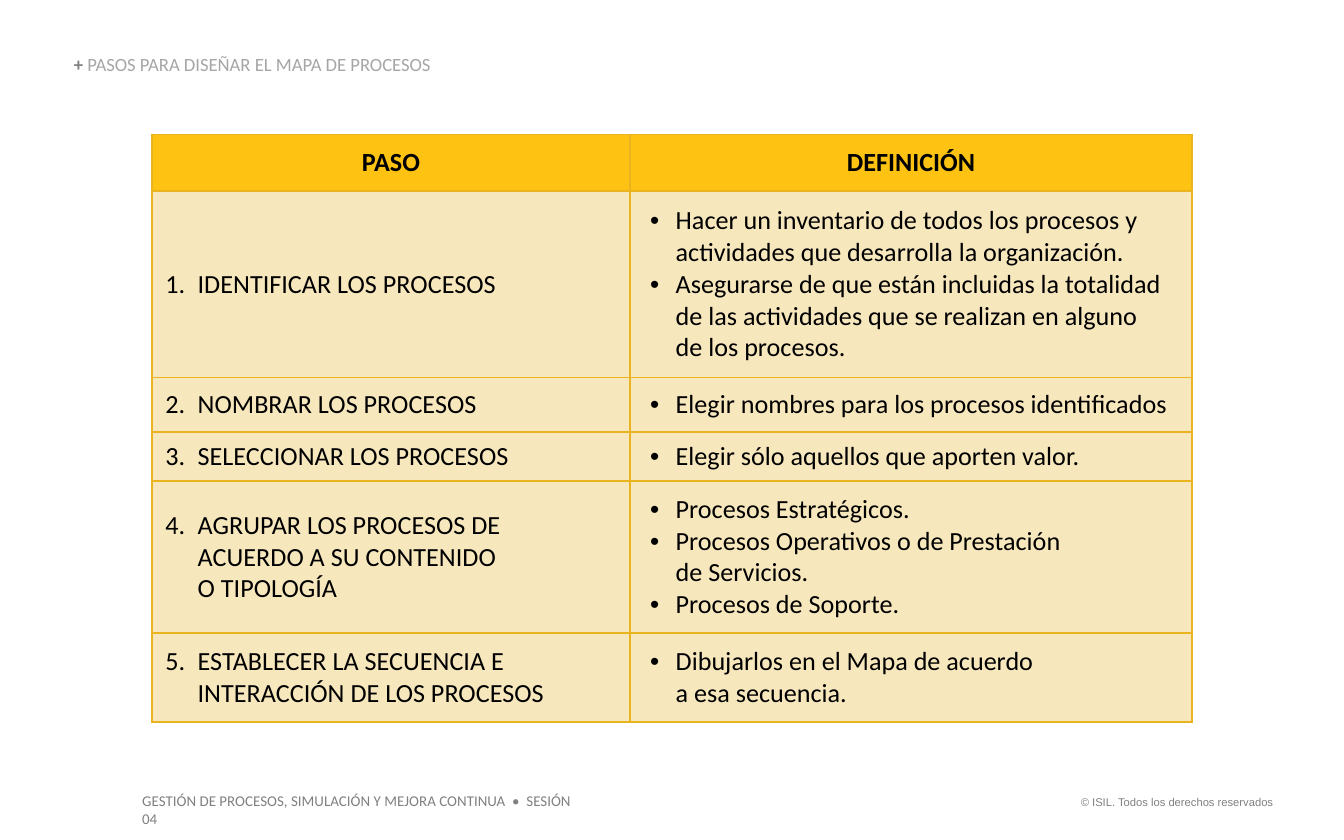
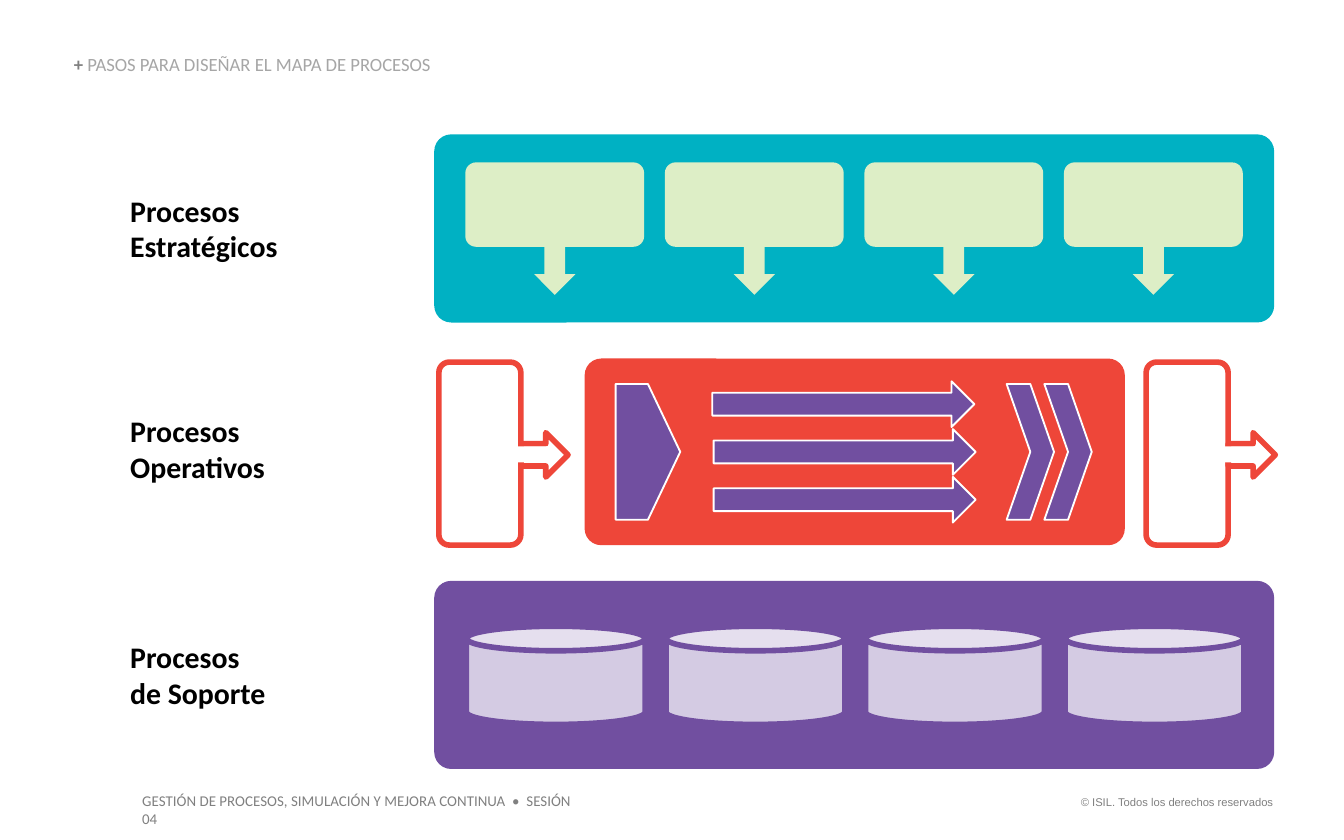
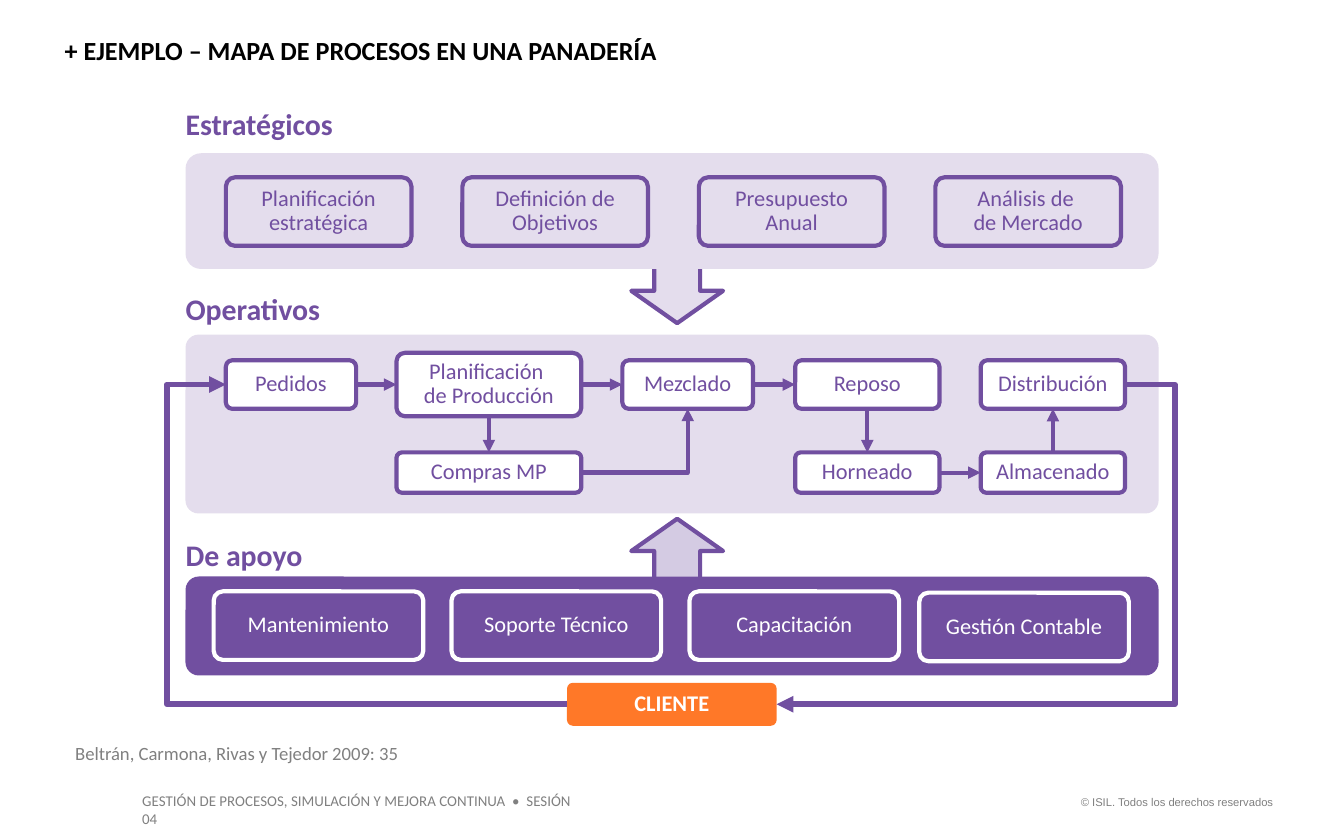
import pptx
import pptx.dml.color
import pptx.enum.shapes
import pptx.enum.text
import pptx.oxml
import pptx.oxml.ns
import pptx.util
from lxml import etree

Pt = pptx.util.Pt
SHAPE = pptx.enum.shapes.MSO_SHAPE
CONNECTOR = pptx.enum.shapes.MSO_CONNECTOR
ALIGN = pptx.enum.text.PP_ALIGN
ANCHOR = pptx.enum.text.MSO_ANCHOR
AUTO_SIZE = pptx.enum.text.MSO_AUTO_SIZE

BLACK, WHITE = "000000", "FFFFFF"
GRAY, LIGHT_GRAY = "808080", "A6A6A6"
PURPLE, LILAC, PALE_LILAC = "714FA0", "D4CBE3", "E4DDED"
TEAL, MINT, RED, ORANGE = "00B1C3", "DDEEC6", "EE4639", "FF7828"
GOLD, CREAM, BORDER = "FDC212", "F7E7BD", "E9B41F"

FOOTER = "GESTIÓN DE PROCESOS, SIMULACIÓN Y MEJORA CONTINUA  •  SESIÓN 04"
COPYRIGHT = "© ISIL. Todos los derechos reservados"
STEPS_TITLE = [("+ ", GRAY, True),
               ("PASOS PARA DISEÑAR EL MAPA DE PROCESOS", LIGHT_GRAY, False)]
STEPS_TITLE_BOX = (39.6, 29.5, 201, 10.8)
BAKERY_TITLE = [("+ EJEMPLO – MAPA DE PROCESOS EN UNA PANADERÍA", BLACK, True)]
BAKERY_TITLE_BOX = (34.6, 20.2, 610, 15.1)

HEADERS = ["PASO", "DEFINICIÓN"]
STEPS = [
    ("IDENTIFICAR LOS PROCESOS", [
        "Hacer un inventario de todos los procesos y actividades que desarrolla la organización.",
        "Asegurarse de que están incluidas la totalidad \nde las actividades que se realizan "
        "en alguno \nde los procesos."]),
    ("NOMBRAR LOS PROCESOS", ["Elegir nombres para los procesos identificados"]),
    ("SELECCIONAR LOS PROCESOS", ["Elegir sólo aquellos que aporten valor."]),
    ("AGRUPAR LOS PROCESOS DE \nACUERDO A SU CONTENIDO \nO TIPOLOGÍA", [
        "Procesos Estratégicos.",
        "Procesos Operativos o de Prestación \nde Servicios.",
        "Procesos de Soporte."]),
    ("ESTABLECER LA SECUENCIA E INTERACCIÓN DE LOS PROCESOS", [
        "Dibujarlos en el Mapa de acuerdo \na esa secuencia."]),
]
COLUMN_WIDTHS = [256.1, 301.2]
ROW_HEIGHTS = [30.4, 99.9, 29.1, 26.4, 81.4, 47.7]

LEVELS = [("Procesos Estratégicos", 103), ("Procesos Operativos", 221),
          ("Procesos \nde Soporte", 342)]

GROUP_LABELS = [("Estratégicos", 56.9), ("Operativos", 155.5), ("De apoyo", 287.3)]
GROUP_BANDS = [(82.1, 62, 0.134, PALE_LILAC), (179.3, 95.8, 0.073, PALE_LILAC),
               (308.9, 53, 0.134, PURPLE)]
STRATEGIC = ["Planificación estratégica", "Definición de Objetivos",
             "Presupuesto\nAnual", "Análisis de \nde Mercado"]
SUPPORT = [("Mantenimiento", 114.5, 316.8), ("Soporte Técnico", 241.9, 316.8),
           ("Capacitación", 369.4, 316.8), ("Gestión Contable", 492.5, 317.5)]
TOP_ROW, BOTTOM_ROW = 206, 253.2
OPERATIONS = {
    "Pedidos": (121, TOP_ROW, 69.8, 26),
    "Planificación \nde Producción": (212.4, TOP_ROW, 99, 34),
    "Compras MP": (212.4, BOTTOM_ROW, 99, 21.6),
    "Mezclado": (333.4, TOP_ROW, 70, 26),
    "Reposo": (426, TOP_ROW, 77.3, 26),
    "Horneado": (426, BOTTOM_ROW, 77.3, 21.6),
    "Distribución": (525.4, TOP_ROW, 77.3, 26),
    "Almacenado": (525.4, BOTTOM_ROW, 77.3, 21.6),
}
TOP, LEFT, BOTTOM, RIGHT = range(4)
FLOWS = [
    ("Pedidos", RIGHT, "Planificación \nde Producción", LEFT),
    ("Planificación \nde Producción", RIGHT, "Mezclado", LEFT),
    ("Planificación \nde Producción", BOTTOM, "Compras MP", TOP),
    ("Mezclado", RIGHT, "Reposo", LEFT),
    ("Reposo", BOTTOM, "Horneado", TOP),
    ("Horneado", RIGHT, "Almacenado", LEFT),
    ("Almacenado", TOP, "Distribución", BOTTOM),
]
CITATION = "Beltrán, Carmona, Rivas y Tejedor 2009: 35"


def rgb(color):
    return pptx.dml.color.RGBColor.from_string(color)


def sub(parent, tag, **attrs):
    e = etree.SubElement(parent, pptx.oxml.ns.qn(tag))
    for name, value in attrs.items():
        e.set(name, str(value))
    return e


def style(p, size, color, bold=False, font="Calibri"):
    for r in p.runs:
        r.font.name, r.font.size, r.font.bold = font, Pt(size), bold
        r.font.color.rgb = rgb(color)


def clear_margins(tf):
    tf.margin_left = tf.margin_top = tf.margin_right = tf.margin_bottom = 0


def add_text(s, text, box, size, color, bold=False, font="Calibri",
             align=ALIGN.LEFT, inset=False):
    tf = s.shapes.add_textbox(*map(Pt, box)).text_frame
    tf.word_wrap = True
    if not inset:
        clear_margins(tf)
    p = tf.paragraphs[0]
    p.text, p.alignment = text, align
    style(p, size, color, bold, font)


def add_box(s, kind, box, fill, line=None, width=1, adj=None,
            text=None, color=PURPLE, bold=False):
    sp = s.shapes.add_shape(kind, *map(Pt, box))
    sp.shadow.inherit = False
    sp.fill.solid()
    sp.fill.fore_color.rgb = rgb(fill)
    if line:
        sp.line.color.rgb = rgb(line)
        sp.line.width = Pt(width)
    else:
        sp.line.fill.background()
    if adj is not None:
        sp.adjustments[0] = adj
    if text:
        tf = sp.text_frame
        tf.word_wrap, tf.vertical_anchor = True, ANCHOR.MIDDLE
        p = tf.paragraphs[0]
        p.text, p.alignment, p.line_spacing = text, ALIGN.CENTER, 0.9
        style(p, 12, color, bold)
    return sp


def add_flow(s, start, start_site, end, end_site, width=2.25, bend=None, turn_x=None):
    kind = CONNECTOR.ELBOW if bend else CONNECTOR.STRAIGHT
    c = s.shapes.add_connector(kind, 0, 0, 0, 0)
    c.begin_connect(start, start_site)
    c.end_connect(end, end_site)
    c.line.color.rgb = rgb(PURPLE)
    c.line.width = Pt(width)
    spPr = c._element.spPr
    sub(c.line._get_or_add_ln(), "a:tailEnd", type="triangle")
    sub(spPr, "a:effectLst")
    if bend:
        geom = spPr.find(pptx.oxml.ns.qn("a:prstGeom"))
        geom.set("prst", bend)
        if turn_x is not None:
            ratio = (Pt(turn_x) - c.begin_x) / (c.end_x - c.begin_x)
            guides = geom.find(pptx.oxml.ns.qn("a:avLst"))
            sub(guides, "a:gd", name="adj1", fmla=f"val {round(ratio * 100000)}")


def add_slide(prs, title, box, size):
    s = prs.slides.add_slide(prs.slide_layouts[5])
    sp = s.shapes.title
    sp.left, sp.top, sp.width, sp.height = map(Pt, box)
    tf = sp.text_frame
    clear_margins(tf)
    tf.word_wrap, tf.auto_size = True, AUTO_SIZE.NONE
    tf.vertical_anchor = ANCHOR.BOTTOM
    p = tf.paragraphs[0]
    p.alignment, p.line_spacing, p.space_before = ALIGN.LEFT, 0.9, Pt(0)
    for text, color, bold in title:
        r = p.add_run()
        r.text = text
        r.font.name, r.font.size, r.font.bold = "Calibri", Pt(size), bold
        r.font.color.rgb = rgb(color)
    add_text(s, COPYRIGHT, (567.4, 422.6, 121.7, 14.4), 6, GRAY,
             font="Arial", align=ALIGN.RIGHT, inset=True)
    add_text(s, FOOTER, (69.1, 420.5, 254.2, 17.3), 8, GRAY, inset=True)
    return s


def set_bullet(p, number=None):
    pPr = p._p.get_or_add_pPr()
    pPr.set("marL", str(Pt(17.3)))
    pPr.set("indent", str(-Pt(17.3 if number else 13.7)))
    sub(sub(pPr, "a:buClr"), "a:srgbClr", val=BLACK)
    if number:
        sub(pPr, "a:buFont", typeface="+mj-lt")
        sub(pPr, "a:buAutoNum", type="arabicPeriod", startAt=number)
    else:
        sub(pPr, "a:buFont", typeface="Arial")
        sub(pPr, "a:buChar", char="•")


def fill_cell(cell, items, fill, number=None, header=False):
    tcPr = cell._tc.get_or_add_tcPr()
    for side in ("a:lnL", "a:lnR", "a:lnT", "a:lnB"):
        ln = sub(tcPr, side, w=Pt(1))
        sub(sub(ln, "a:solidFill"), "a:srgbClr", val=BORDER)
    cell.fill.solid()
    cell.fill.fore_color.rgb = rgb(fill)
    cell.vertical_anchor = ANCHOR.MIDDLE
    tf = cell.text_frame
    for i, item in enumerate(items):
        p = tf.add_paragraph() if i else tf.paragraphs[0]
        p.text = item
        if header:
            p.alignment = ALIGN.CENTER
        else:
            set_bullet(p, number)
        style(p, 14, BLACK, header)


def build_steps(prs):
    s = add_slide(prs, STEPS_TITLE, STEPS_TITLE_BOX, 10)
    frame = s.shapes.add_table(len(ROW_HEIGHTS), len(COLUMN_WIDTHS), Pt(81.4), Pt(72),
                               Pt(sum(COLUMN_WIDTHS)), Pt(sum(ROW_HEIGHTS)))
    table = frame.table
    table.horz_banding = False
    for column, width in zip(table.columns, COLUMN_WIDTHS):
        column.width = Pt(width)
    for row, height in zip(table.rows, ROW_HEIGHTS):
        row.height = Pt(height)
    for i, header in enumerate(HEADERS):
        fill_cell(table.cell(0, i), [header], GOLD, header=True)
    for i, (step, definitions) in enumerate(STEPS, 1):
        fill_cell(table.cell(i, 0), [step], CREAM, number=i)
        fill_cell(table.cell(i, 1), definitions, CREAM)


def build_levels(prs):
    s = add_slide(prs, STEPS_TITLE, STEPS_TITLE_BOX, 10)
    for top, fill in ((72, TEAL), (311.2, PURPLE)):
        add_box(s, SHAPE.ROUNDED_RECTANGLE, (232.6, top, 450, 100.8), fill, adj=0.09)
    for i in range(4):
        x = 249.3 + 106.9 * i
        add_box(s, SHAPE.ROUNDED_RECTANGLE, (x, 87, 95.8, 45.2), MINT, adj=0.127)
        add_box(s, SHAPE.DOWN_ARROW, (x + 36.8, 132.2, 22.2, 25.7), MINT)
        add_box(s, SHAPE.CAN, (x + 0.6, 335.5, 95.8, 52.6), LILAC, PURPLE, 3)

    for x in (235.1, 614):
        add_box(s, SHAPE.ROUNDED_RECTANGLE, (x, 194, 43.9, 98), WHITE, RED, 3, 0.127)
        add_box(s, SHAPE.RIGHT_ARROW, (x + 44, 231.8, 25.2, 23.8), WHITE, RED, 3)
        add_box(s, SHAPE.RECTANGLE, (x + 41, 239.2, 18, 8.6), WHITE)

    add_box(s, SHAPE.ROUNDED_RECTANGLE, (313.2, 192.1, 289.4, 100), RED, adj=0.089)
    add_box(s, SHAPE.PENTAGON, (329.8, 205.7, 34.6, 72.7), PURPLE, WHITE)
    for x in (539.3, 559.5):
        add_box(s, SHAPE.CHEVRON, (x, 205.7, 25.4, 72.7), PURPLE, WHITE)
    for i, x in enumerate((381.6, 382.3, 382.3)):
        add_box(s, SHAPE.RIGHT_ARROW, (x, 204.3 + 25.6 * i, 140.4, 24.5), PURPLE, WHITE)
    for text, top in LEVELS:
        add_text(s, text, (69.8, top, 103, 38.9), 16, BLACK, True)


def build_bakery(prs):
    s = add_slide(prs, BAKERY_TITLE, BAKERY_TITLE_BOX, 14)
    add_box(s, SHAPE.DOWN_ARROW, (338.2, 138.5, 49.2, 34.6), PALE_LILAC, PURPLE, 2.25)
    add_box(s, SHAPE.UP_ARROW, (338.2, 277.9, 49.2, 34.6), LILAC, PURPLE, 2.25)
    rounded = SHAPE.ROUNDED_RECTANGLE
    for top, height, adj, fill in GROUP_BANDS:
        add_box(s, rounded, (99.4, top, 521.3, height), fill, adj=adj)
    for text, top in GROUP_LABELS:
        add_text(s, text, (99.4, top, 300, 19.4), 16, PURPLE, True)
    for i, text in enumerate(STRATEGIC):
        add_box(s, rounded, (121 + 126.7 * i, 95, 99.4, 36.7), PALE_LILAC,
                PURPLE, 2.25, 0.134, text)
    for text, x, y in SUPPORT:
        add_box(s, rounded, (x, y, 112.3, 36.7), PURPLE, WHITE, 2.25, 0.134, text, WHITE)

    boxes = {}
    for text, (x, middle, width, height) in OPERATIONS.items():
        boxes[text] = add_box(s, rounded, (x, middle - height / 2, width, height),
                              WHITE, PURPLE, 2.25, 0.134, text)
    client = add_box(s, rounded, (303.8, 365.8, 112.3, 23), ORANGE, adj=0.134,
                     text="CLIENTE", color=WHITE, bold=True)
    for start, start_site, end, end_site in FLOWS:
        add_flow(s, boxes[start], start_site, boxes[end], end_site)
    add_flow(s, boxes["Compras MP"], RIGHT, boxes["Mezclado"], BOTTOM,
             bend="bentConnector2")
    add_flow(s, boxes["Distribución"], RIGHT, client, RIGHT, 3, "bentConnector3", 629.3)
    add_flow(s, client, LEFT, boxes["Pedidos"], LEFT, 3, "bentConnector3", 89.3)
    add_text(s, CITATION, (40.3, 397.4, 200, 12.2), 10, GRAY)


def main():
    prs = pptx.Presentation()
    prs.slide_width, prs.slide_height = Pt(720), Pt(450)
    build_steps(prs)
    build_levels(prs)
    build_bakery(prs)
    prs.save("out.pptx")


if __name__ == "__main__":
    main()
